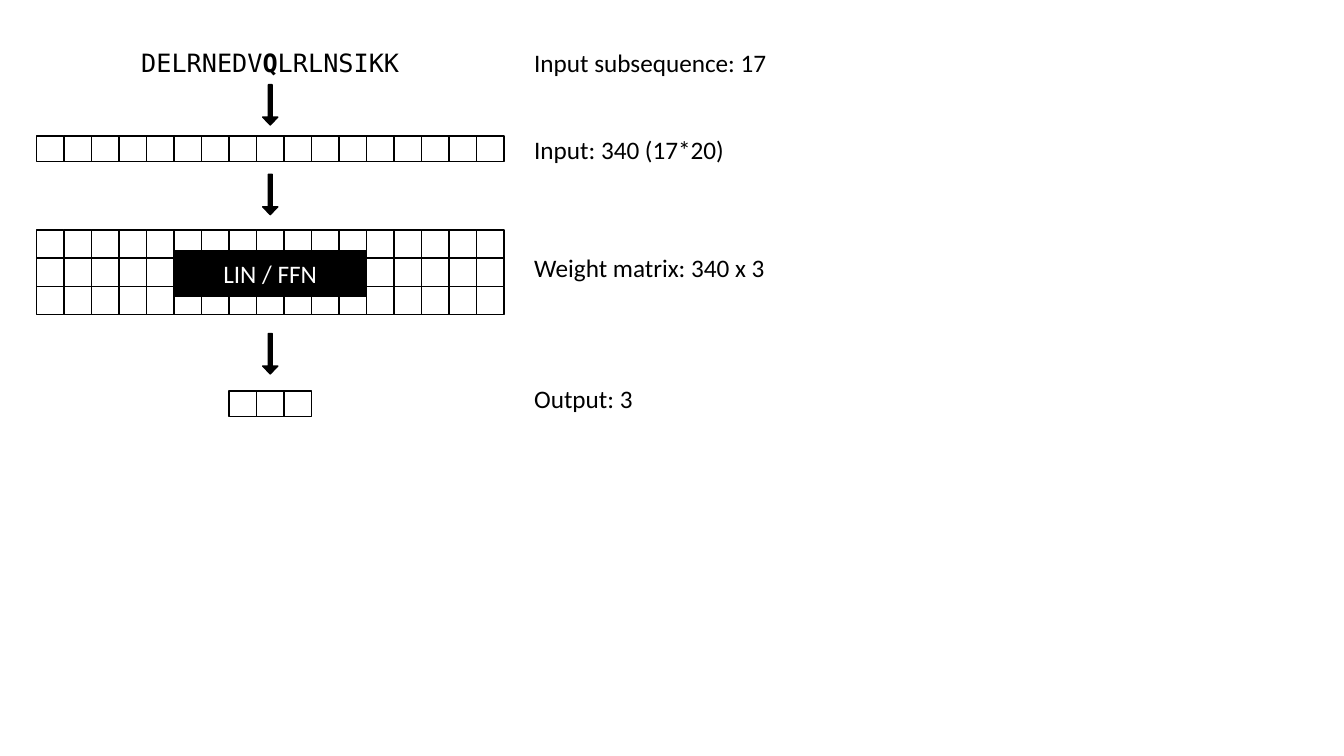
from pptx import Presentation
from pptx.dml.color import RGBColor
from pptx.enum.shapes import MSO_SHAPE
from pptx.enum.text import MSO_ANCHOR, MSO_AUTO_SIZE, PP_ALIGN
from pptx.util import Inches, Pt

RECTANGLE, ARROW = MSO_SHAPE.RECTANGLE, MSO_SHAPE.RIGHT_ARROW
LEFT, CENTER = PP_ALIGN.LEFT, PP_ALIGN.CENTER
MIDDLE, FIT_SHAPE = MSO_ANCHOR.MIDDLE, MSO_AUTO_SIZE.SHAPE_TO_FIT_TEXT
BLACK, WHITE = "000000", "FFFFFF"
SANS, MONO = "Calibri", "DejaVu Sans Mono"

COLUMNS = 17
GRID_LEFT, GRID_WIDTH = 0.36, 4.64
COLUMN = GRID_WIDTH / COLUMNS
GRID_CENTER = GRID_LEFT + GRID_WIDTH / 2
VECTOR_ROW, MATRIX_ROW = 0.25, 0.28
TEXT_HEIGHT = 0.4
SEQUENCE = [("DELRNEDV", False), ("Q", True), ("LRLNSIKK", False)]
NOTES = [("Input subsequence: 17", 0.42), ("Input: 340 (17*20)", 1.28),
         ("Weight matrix: 340 x 3", 2.45), ("Output: 3", 3.75)]
ARROW_TOPS = [0.84, 1.73, 3.31]


def color(code):
    """Return the colour for a hex string."""
    return RGBColor.from_string(code)


def write(shape, spans, font=SANS, size=18, ink=BLACK, align=LEFT):
    """Write (text, bold) spans as one paragraph in a shape."""
    para = shape.text_frame.paragraphs[0]
    para.alignment = align
    for text, bold in spans:
        span = para.add_run()
        span.text = text
        span.font.name, span.font.size, span.font.bold = font, Pt(size), bold
        span.font.color.rgb = color(ink)


def add_text(page, box, spans, **style):
    """Add a wrapping text box that fits its text."""
    shape = page.shapes.add_textbox(*map(Inches, box))
    shape.text_frame.word_wrap = True
    shape.text_frame.auto_size = FIT_SHAPE
    write(shape, spans, **style)


def add_block(owner, box, fill, kind=RECTANGLE):
    """Add a filled shape with a thin black outline."""
    shape = owner.shapes.add_shape(kind, *map(Inches, box))
    shape.shadow.inherit = False
    shape.fill.solid()
    shape.fill.fore_color.rgb = color(fill)
    shape.line.color.rgb = color(BLACK)
    shape.line.width = Pt(1)
    return shape


def add_cells(page, box, columns, rows=1, covered=()):
    """Divide a box into a group of cells, skipping covered (row, column) pairs."""
    left, top, width, height = box
    cell_width, cell_height = width / columns, height / rows
    group = page.shapes.add_group_shape()
    for row in range(rows):
        for column in range(columns):
            if (row, column) not in covered:
                add_block(group, (left + column * cell_width, top + row * cell_height,
                                  cell_width, cell_height), WHITE)


def add_down_arrow(page, box):
    """Fill an upright box with an arrow pointing down."""
    left, top, width, height = box
    shift = (height - width) / 2
    arrow = add_block(page, (left - shift, top + shift, height, width), BLACK, ARROW)
    arrow.rotation = 90
    arrow.adjustments[0], arrow.adjustments[1] = 0.25, 0.52


def add_weight_matrix(page, box):
    """Draw the weight matrix with the model name across its middle."""
    left, top, width, height = box
    add_cells(page, box, COLUMNS, rows=3,
              covered=[(1, column) for column in range(6, 11)])
    step = width / COLUMNS
    label = add_block(page, (left + 5 * step, top + height / 4, 7 * step, 0.45), BLACK)
    label.text_frame.vertical_anchor = MIDDLE
    write(label, [("LIN / FFN", False)], ink=WHITE, align=CENTER)


def add_network(page, box):
    """Stack the sequence, vectors, matrix and arrows in a box."""
    left, top, width, _ = box
    center = left + width / 2
    add_text(page, (center - 1.47, top, 2.94, TEXT_HEIGHT), SEQUENCE,
             font=MONO, align=CENTER)
    add_cells(page, (left, top + 0.93, width, VECTOR_ROW), COLUMNS)
    add_weight_matrix(page, (left, top + 1.86, width, 3 * MATRIX_ROW))
    add_cells(page, (center - 1.5 * COLUMN, top + 3.46, 3 * COLUMN, VECTOR_ROW), 3)
    for arrow_top in ARROW_TOPS:
        add_down_arrow(page, (center - 0.075, arrow_top, 0.15, 0.4))


def add_notes_column(page, left, width):
    """Describe each stage beside the network."""
    for text, top in NOTES:
        add_text(page, (left, top, width, TEXT_HEIGHT), [(text, False)])


deck = Presentation()
deck.slide_width, deck.slide_height = Inches(13.33), Inches(7.5)
page = deck.slides.add_slide(deck.slide_layouts[6])
add_network(page, (GRID_LEFT, 0.42, GRID_WIDTH, 3.71))
add_notes_column(page, 5.2, 3.66)
deck.save("out.pptx")
